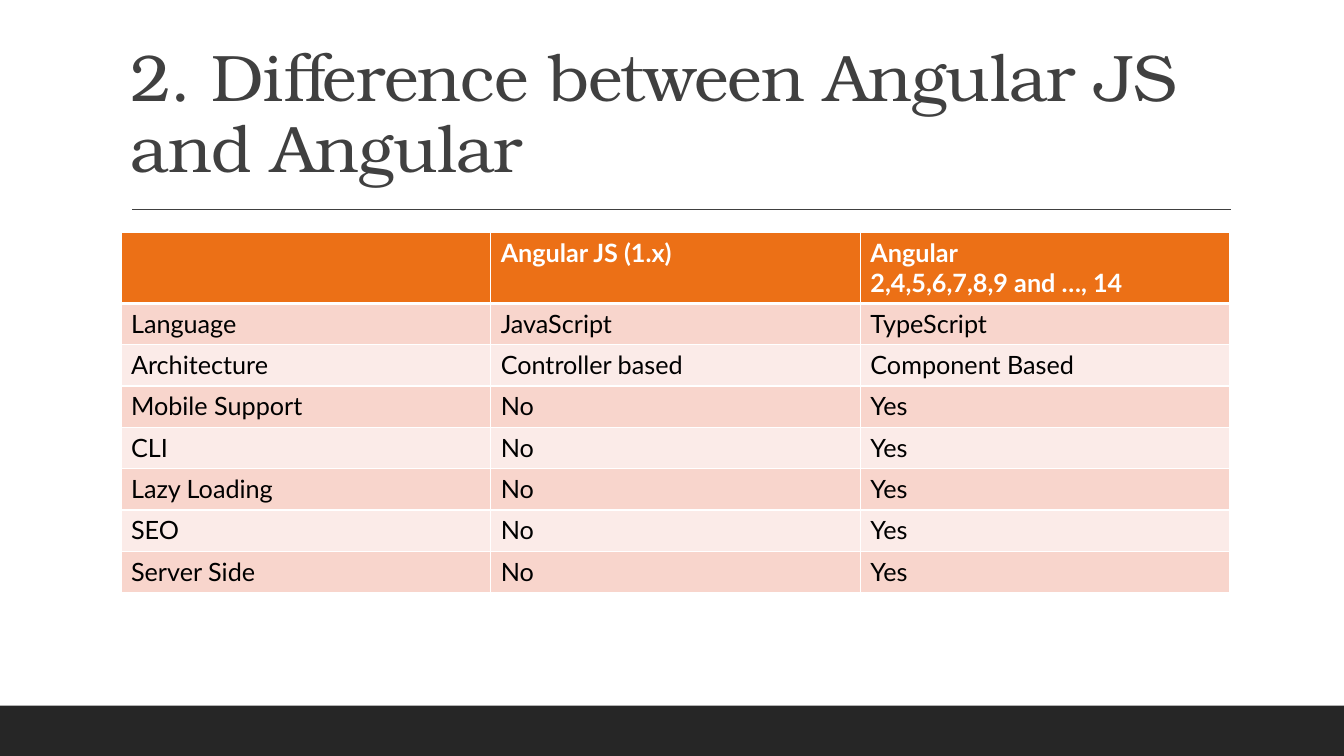
from lxml import etree
from pptx import Presentation
from pptx import util as u
from pptx.dml.color import RGBColor
from pptx.enum import shapes, text
from pptx.oxml import ns

COLOURS = {
    "bar": "262626",
    "title": "404040",
    "header": "EC7016",
    "odd": "F8D5CC",
    "even": "FBEBE8",
    "white": "FFFFFF",
    "body": "000000",
}
ROWS = [
    ("", "Angular JS (1.x)", "Angular\n2,4,5,6,7,8,9 and …, 14"),
    ("Language", "JavaScript", "TypeScript"),
    ("Architecture", "Controller based", "Component Based"),
    *((feature, "No", "Yes") for feature in
      ("Mobile Support", "CLI", "Lazy Loading", "SEO", "Server Side")),
]
TITLE_FORMAT = {"name": "TeX Gyre Bonum", "size": u.Pt(47), "bold": False}
HEADER_FORMAT = {"name": "Lato", "size": u.Pt(18), "bold": True}
BODY_FORMAT = {**HEADER_FORMAT, "bold": False}
HEADER_HEIGHT, ROW_HEIGHT = 0.67, 0.41


def colour(name):
    return RGBColor.from_string(COLOURS[name])


def set_font(font, values, shade):
    for key, value in values.items():
        setattr(font, key, value)
    font.color.rgb = colour(shade)


def add_footer_bar(page, box):
    bar = page.shapes.add_shape(shapes.MSO_SHAPE.RECTANGLE, *map(u.Inches, box))
    bar.shadow.inherit = False
    bar.fill.solid()
    bar.fill.fore_color.rgb = colour("bar")
    bar.line.fill.background()


def add_title(page, box, wording):
    left, top, width, height = box
    title = page.shapes.add_textbox(*map(u.Inches, box))
    frame = title.text_frame
    frame.word_wrap = True
    frame.vertical_anchor = text.MSO_ANCHOR.BOTTOM
    para = frame.paragraphs[0]
    para.line_spacing = 0.9
    span = para.add_run()
    span.text = wording
    set_font(span.font, TITLE_FORMAT, "title")
    span.font._element.set("spc", "-50")

    rule_y = u.Inches(top + height + 0.18)
    rule = page.shapes.add_connector(
        shapes.MSO_CONNECTOR.STRAIGHT,
        u.Inches(left + 0.11), rule_y, u.Inches(left + width + 0.01), rule_y)
    rule.line.color.rgb = colour("title")
    rule.line.width = u.Pt(1)
    etree.SubElement(rule._element.spPr, ns.qn("a:effectLst"))


def add_borders(cell, bottom, top):
    properties = cell._tc.get_or_add_tcPr()
    widths = {"lnL": 1, "lnR": 1, "lnT": top, "lnB": bottom}
    for position, (side, width) in enumerate(widths.items()):
        line = etree.Element(ns.qn(f"a:{side}"), w=str(u.Pt(width)))
        fill = etree.SubElement(line, ns.qn("a:solidFill"))
        etree.SubElement(fill, ns.qn("a:srgbClr"), val=COLOURS["white"])
        properties.insert(position, line)


def add_comparison(page, box):
    table = page.shapes.add_table(len(ROWS), len(ROWS[0]), *map(u.Inches, box)).table
    for row_number, values in enumerate(ROWS):
        header = row_number == 0
        table.rows[row_number].height = u.Inches(HEADER_HEIGHT if header else ROW_HEIGHT)
        shade = "header" if header else ("even", "odd")[row_number % 2]
        for column, wording in enumerate(values):
            cell = table.cell(row_number, column)
            cell.text = wording
            cell.fill.solid()
            cell.fill.fore_color.rgb = colour(shade)
            add_borders(cell, 3 if header else 1, 3 if row_number == 1 else 1)
            for para in cell.text_frame.paragraphs:
                set_font(para.font, HEADER_FORMAT if header else BODY_FORMAT,
                         "white" if header else "body")
                for span in para.runs:
                    set_font(span.font, HEADER_FORMAT if header else BODY_FORMAT,
                             "white" if header else "body")


def main():
    deck = Presentation()
    deck.slide_width, deck.slide_height = u.Inches(13.33), u.Inches(7.5)
    page = deck.slides.add_slide(deck.slide_layouts[6])
    add_footer_bar(page, (0, 7, 13.33, 0.5))
    add_title(page, (1.2, 0.31, 11, 1.59), "2. Difference between Angular JS and Angular")
    add_comparison(page, (1.2, 2.31, 11, 3.54))
    deck.save("out.pptx")


if __name__ == "__main__":
    main()
